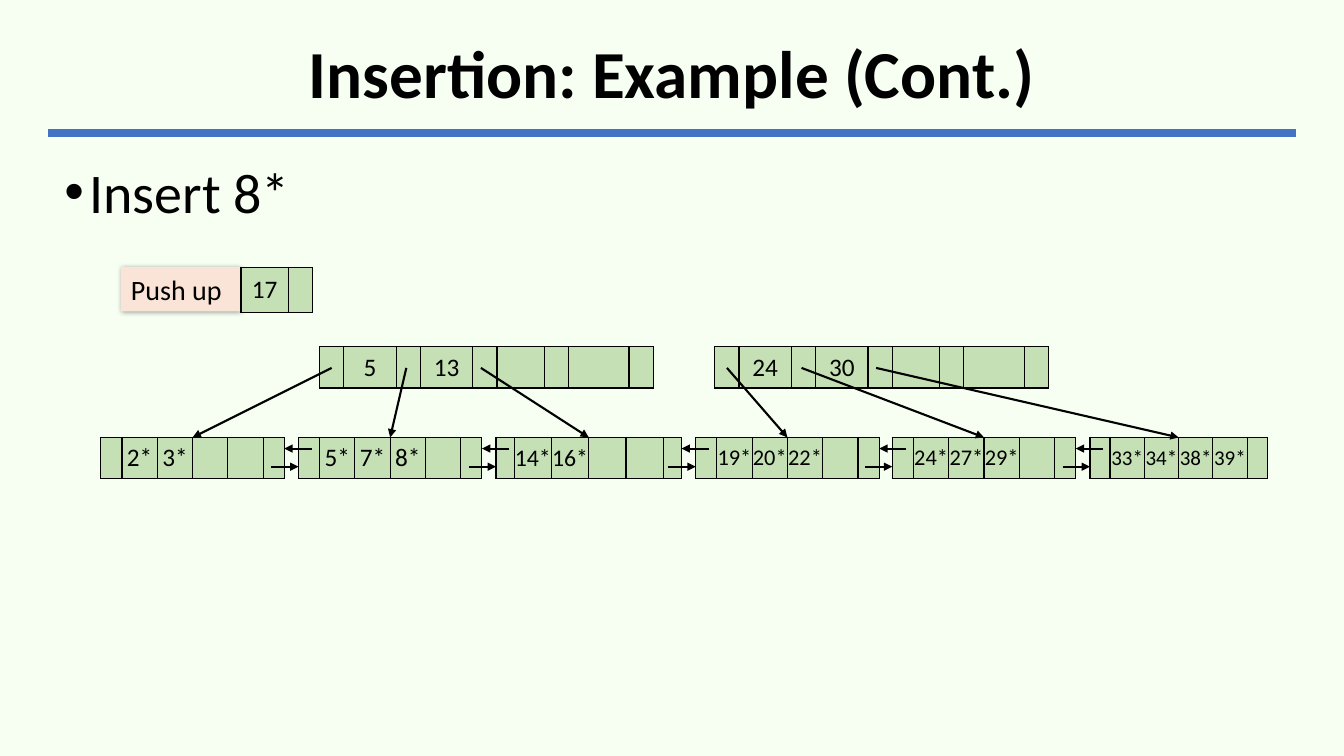
from lxml.etree import SubElement
from pptx import Presentation
from pptx.dml.color import RGBColor
from pptx.enum.shapes import MSO_CONNECTOR, MSO_SHAPE
from pptx.enum.text import MSO_ANCHOR, PP_ALIGN
from pptx.oxml import parse_xml
from pptx.oxml.ns import nsdecls, qn
from pptx.util import Inches, Pt

COLORS = {
    "background": "F7FFF3",
    "rule": "4472C4",
    "cell": "C5E0B4",
    "label": "FAE4D7",
    "ink": "000000",
}


def add_span(para, text, size, bold=False):
    span = para.add_run()
    span.text = text
    span.font.name = "Calibri"
    span.font.size = Pt(size)
    span.font.bold = bold
    span.font.color.rgb = RGBColor.from_string(COLORS["ink"])


def add_line(start, end, color="ink", width=1.5, arrow=True):
    line = page.shapes.add_connector(
        MSO_CONNECTOR.STRAIGHT, *[Inches(value) for value in (*start, *end)])
    line.line.color.rgb = RGBColor.from_string(COLORS[color])
    line.line.width = Pt(width)
    if arrow:
        SubElement(line.line._get_or_add_ln(), qn("a:tailEnd"), type="triangle")
    SubElement(line._element.spPr, qn("a:effectLst"))


deck = Presentation()
deck.slide_width = Inches(13.33)
deck.slide_height = Inches(7.5)
page = deck.slides.add_slide(deck.slide_layouts[6])
page.background.fill.solid()
page.background.fill.fore_color.rgb = RGBColor.from_string(COLORS["background"])

add_line((0.48, 1.32), (12.85, 1.32), "rule", 6, arrow=False)

title = page.shapes.add_textbox(Inches(0.48), Inches(0.24), Inches(12.37), Inches(1.04))
title.text_frame.word_wrap = True
title.text_frame.vertical_anchor = MSO_ANCHOR.MIDDLE
para = title.text_frame.paragraphs[0]
para.alignment = PP_ALIGN.CENTER
para.line_spacing = 0.9
add_span(para, "Insertion: Example (Cont.)", 48, bold=True)

body = page.shapes.add_textbox(Inches(0.54), Inches(1.51), Inches(12.21), Inches(1.57))
body.text_frame.word_wrap = True
para = body.text_frame.paragraphs[0]
properties = para._p.get_or_add_pPr()
properties.set("marL", str(Inches(0.25)))
properties.set("indent", str(-Inches(0.25)))
SubElement(properties, qn("a:buFont"), typeface="Arial")
SubElement(properties, qn("a:buChar"), char="•")
add_span(para, "Insert 8*", 40)

label = page.shapes.add_shape(
    MSO_SHAPE.RECTANGLE, Inches(1.2), Inches(2.65), Inches(1.18), Inches(0.44))
label.fill.solid()
label.fill.fore_color.rgb = RGBColor.from_string(COLORS["label"])
label.line.fill.background()
label._element.spPr.append(parse_xml(
    f'<a:effectLst {nsdecls("a")}><a:outerShdw blurRad="{Pt(4)}" dist="{Pt(1)}" '
    f'dir="2700000" algn="tl" rotWithShape="0"><a:srgbClr val="{COLORS["ink"]}">'
    '<a:alpha val="40000"/></a:srgbClr></a:outerShdw></a:effectLst>'))
label.text_frame.word_wrap = True
label.text_frame.vertical_anchor = MSO_ANCHOR.TOP
para = label.text_frame.paragraphs[0]
para.alignment = PP_ALIGN.LEFT
add_span(para, "Push up", 20)

index_columns = [0.24, 0.52, 0.24, 0.52, 0.24, 0.47, 0.24, 0.6, 0.24]
indexes = [
    (3.17, 3.44, 0.41, index_columns, 18, ["", "5", "", "13"]),
    (7.09, 3.44, 0.41, index_columns, 18, ["", "24", "", "30"]),
]
leaves = [
    (left, 4.34, 0.41, [edge, *[slot] * 4, edge], size, ["", *keys])
    for left, edge, slot, size, keys in [
        (1.0, 0.21, 0.35, 18, ["2*", "3*"]),
        (2.96, 0.21, 0.35, 18, ["5*", "7*", "8*"]),
        (4.92, 0.18, 0.37, 17, ["14*", "16*"]),
        (6.9, 0.21, 0.35, 16, ["19*", "20*", "22*"]),
        (8.85, 0.21, 0.35, 16, ["24*", "27*", "29*"]),
        (10.81, 0.2, 0.34, 15, ["33*", "34*", "38*", "39*"]),
    ]
]
pushed = (2.39, 2.65, 0.45, [0.47, 0.24], 18, ["17"])

for left, top, height, columns, size, keys in [*indexes, *leaves, pushed]:
    frame = page.shapes.add_table(
        1, len(columns), Inches(left), Inches(top), Inches(sum(columns)), Inches(height))
    node = frame.table
    node.first_row = False
    node.horz_banding = False
    node.rows[0].height = Inches(height)
    for position, width in enumerate(columns):
        node.columns[position].width = Inches(width)
        cell = node.cell(0, position)
        cell.margin_left = cell.margin_right = cell.margin_top = cell.margin_bottom = 0
        cell.vertical_anchor = MSO_ANCHOR.MIDDLE
        borders = cell._tc.get_or_add_tcPr()
        for side in ("lnL", "lnR", "lnT", "lnB"):
            border = SubElement(borders, qn(f"a:{side}"), w=str(Pt(1)))
            paint = SubElement(border, qn("a:solidFill"))
            SubElement(paint, qn("a:srgbClr"), val=COLORS["ink"])
        cell.fill.solid()
        cell.fill.fore_color.rgb = RGBColor.from_string(COLORS["cell"])
        if position < len(keys) and keys[position]:
            para = cell.text_frame.paragraphs[0]
            para.alignment = PP_ALIGN.CENTER
            add_span(para, keys[position], size)

for number, (left, top, height, columns, size, keys) in enumerate(leaves):
    index_left = indexes[number // 3][0]
    pointer = index_left + 0.12 + 0.74 * (number % 3)
    add_line((pointer, 3.65), (left + sum(columns) / 2, top))

for leaf, following in zip(leaves, leaves[1:]):
    right = leaf[0] + sum(leaf[3])
    next_left = following[0]
    add_line((right + 0.27, 4.45), (right, 4.45))
    add_line((next_left - 0.27, 4.63), (next_left, 4.63))

deck.save("out.pptx")
